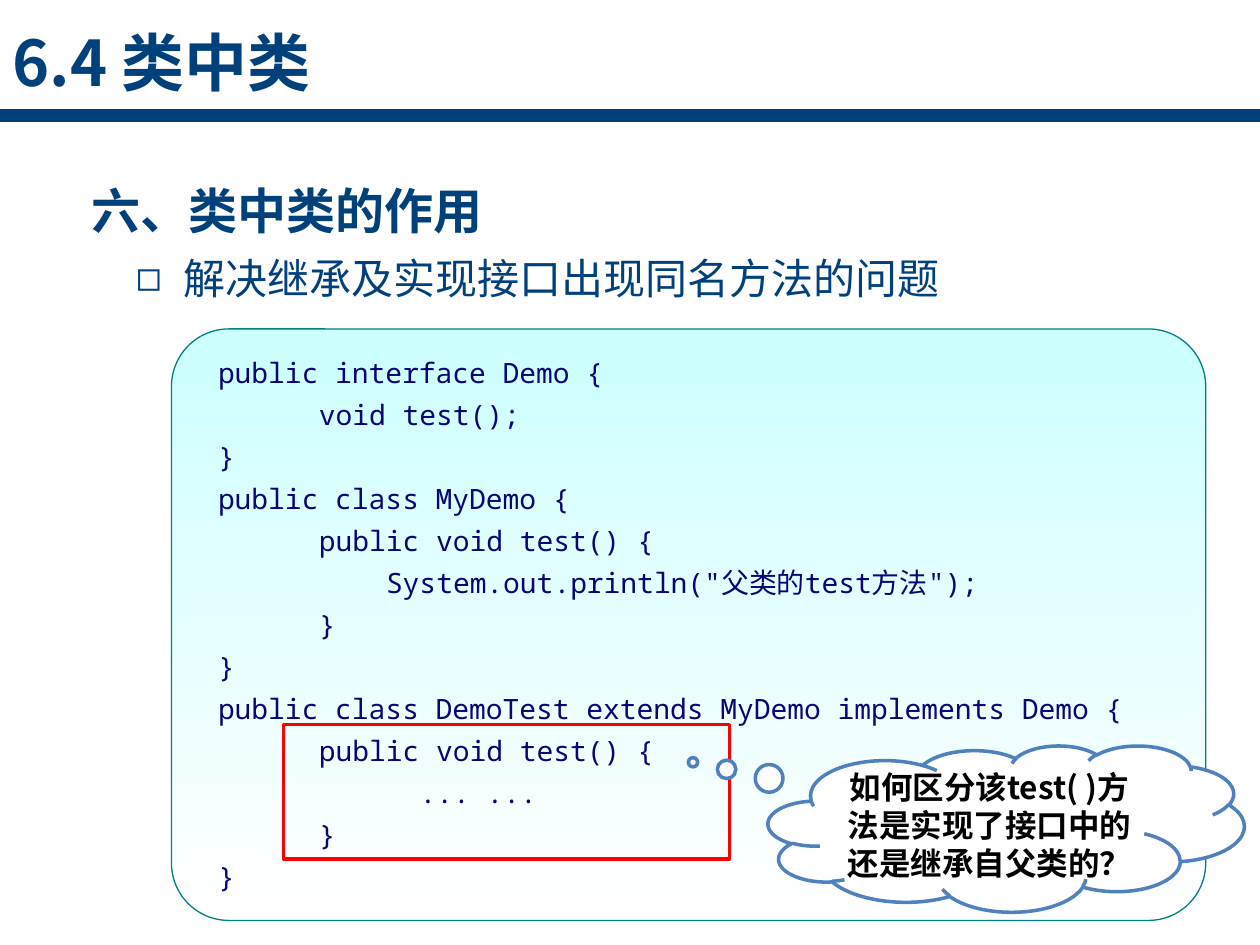
from lxml import etree
from pptx import Presentation
from pptx.dml.color import RGBColor
from pptx.enum.shapes import MSO_CONNECTOR, MSO_SHAPE
from pptx.enum.text import MSO_ANCHOR, MSO_AUTO_SIZE, PP_ALIGN
from pptx.oxml.ns import qn
from pptx.util import Pt

STRAIGHT = MSO_CONNECTOR.STRAIGHT
ROUNDED, RECT, CLOUD = (MSO_SHAPE.ROUNDED_RECTANGLE, MSO_SHAPE.RECTANGLE,
                        MSO_SHAPE.CLOUD_CALLOUT)
LEFT, CENTER, JUSTIFY = PP_ALIGN.LEFT, PP_ALIGN.CENTER, PP_ALIGN.JUSTIFY
TOP, MIDDLE = MSO_ANCHOR.TOP, MSO_ANCHOR.MIDDLE
NO_AUTOFIT = MSO_AUTO_SIZE.NONE

SANS, MONO = "Noto Sans CJK SC", "Noto Sans Mono"
NAVY = "00417C"
CODE_SIZE = 16
CHAR_WIDTH = 0.6 * CODE_SIZE

# (indent in characters, code)
CODE = [
    (0, "public interface Demo {"),
    (6, "void test();"),
    (0, "}"),
    (0, "public class MyDemo {"),
    (6, "public void test() {"),
    (10, 'System.out.println("父类的test方法");'),
    (6, "}"),
    (0, "}"),
    (0, "public class DemoTest extends MyDemo implements Demo {"),
    (6, "public void test() {"),
    (12, "... ..."),
    (6, "}"),
    (0, "}"),
]


def rgb(value):
    return RGBColor.from_string(value)


def place(s, left, top, width, height):
    s.left, s.top, s.width, s.height = Pt(left), Pt(top), Pt(width), Pt(height)


def set_frame(tf, anchor, wrap=True):
    tf.auto_size = NO_AUTOFIT
    tf.word_wrap = wrap
    tf.vertical_anchor = anchor


def add_run(p, text, size, color, font=SANS, bold=False):
    r = p.add_run()
    r.text = text
    r.font.size = Pt(size)
    r.font.bold = bold
    r.font.color.rgb = rgb(color)
    r.font.name = font
    etree.SubElement(r.font._element, qn("a:ea"), typeface=font)


def set_indent(p, margin, first=0):
    pPr = p._p.get_or_add_pPr()
    pPr.set("marL", str(Pt(margin)))
    pPr.set("indent", str(Pt(first)))
    return pPr


def add_shape(slide, kind, box, line, width):
    s = slide.shapes.add_shape(kind, *map(Pt, box))
    s.shadow.inherit = False
    s.fill.background()
    s.line.color.rgb = rgb(line)
    s.line.width = Pt(width)
    return s


def add_title(slide):
    s = slide.shapes.title
    place(s, 0, 10, 196, 51)
    set_frame(s.text_frame, TOP, wrap=False)
    p = s.text_frame.paragraphs[0]
    p.alignment = LEFT
    add_run(p, "6.4 类中类", 36, NAVY, bold=True)


def add_rule(slide):
    s = slide.shapes.add_connector(STRAIGHT, 0, Pt(66), Pt(720), Pt(66))
    s.line.color.rgb = rgb(NAVY)
    s.line.width = Pt(7)
    etree.SubElement(s._element.spPr, qn("a:effectLst"))


def add_heading(slide):
    s = slide.shapes.add_textbox(Pt(3), Pt(83), Pt(629), Pt(52))
    set_frame(s.text_frame, TOP)
    p = s.text_frame.paragraphs[0]
    p.line_spacing = 1.5
    p.space_after = Pt(12)
    set_indent(p, 42)
    add_run(p, "六、类中类的作用", 28, NAVY, bold=True)


def add_bullet_point(slide):
    s = slide.placeholders[1]
    place(s, 70.5, 145.5, 618, 32)
    set_frame(s.text_frame, TOP)
    p = s.text_frame.paragraphs[0]
    p.alignment = JUSTIFY
    p.line_spacing = Pt(24)
    p.space_before = p.space_after = Pt(6)
    pPr = set_indent(p, 27, -27)
    etree.SubElement(pPr, qn("a:buChar"), char="◻")
    add_run(p, "解决继承及实现接口出现同名方法的问题", 24, NAVY)


def add_code_panel(slide):
    s = add_shape(slide, ROUNDED, (98, 188, 591, 338), "008080", 0.75)
    s.adjustments[0] = 0.097
    s.fill.gradient()
    s.fill.gradient_angle = 270
    for stop, color in zip(s.fill.gradient_stops, ("CCFFFF", "FFFFFF")):
        stop.color.rgb = rgb(color)
    tf = s.text_frame
    set_frame(tf, MIDDLE)
    tf.margin_left, tf.margin_top = Pt(17), Pt(11.5)
    tf.margin_right, tf.margin_bottom = 0, Pt(17)
    for i, (columns, text) in enumerate(CODE):
        p = tf.add_paragraph() if i else tf.paragraphs[0]
        p.alignment = LEFT
        p.line_spacing = Pt(24)
        set_indent(p, columns * CHAR_WIDTH)
        add_run(p, text, CODE_SIZE, "080577", MONO)


def add_thought(slide):
    s = add_shape(slide, CLOUD, (439, 426, 272, 95), "4F81BD", 2)
    s.adjustments[0], s.adjustments[1] = -0.658, -0.399
    s.fill.solid()
    s.fill.fore_color.rgb = rgb("FFFFFF")
    set_frame(s.text_frame, MIDDLE)
    p = s.text_frame.paragraphs[0]
    p.alignment = CENTER
    add_run(p, "如何区分该test( )方法是实现了接口中的还是继承自父类的？",
            18, "000000", bold=True)


def main():
    prs = Presentation()
    prs.slide_width, prs.slide_height = Pt(720), Pt(540)
    slide = prs.slides.add_slide(prs.slide_layouts[1])
    add_title(slide)
    add_rule(slide)
    add_heading(slide)
    add_bullet_point(slide)
    add_code_panel(slide)
    add_shape(slide, RECT, (162, 414, 255, 77), "FF0000", 2)
    add_thought(slide)
    prs.save("out.pptx")


if __name__ == "__main__":
    main()
